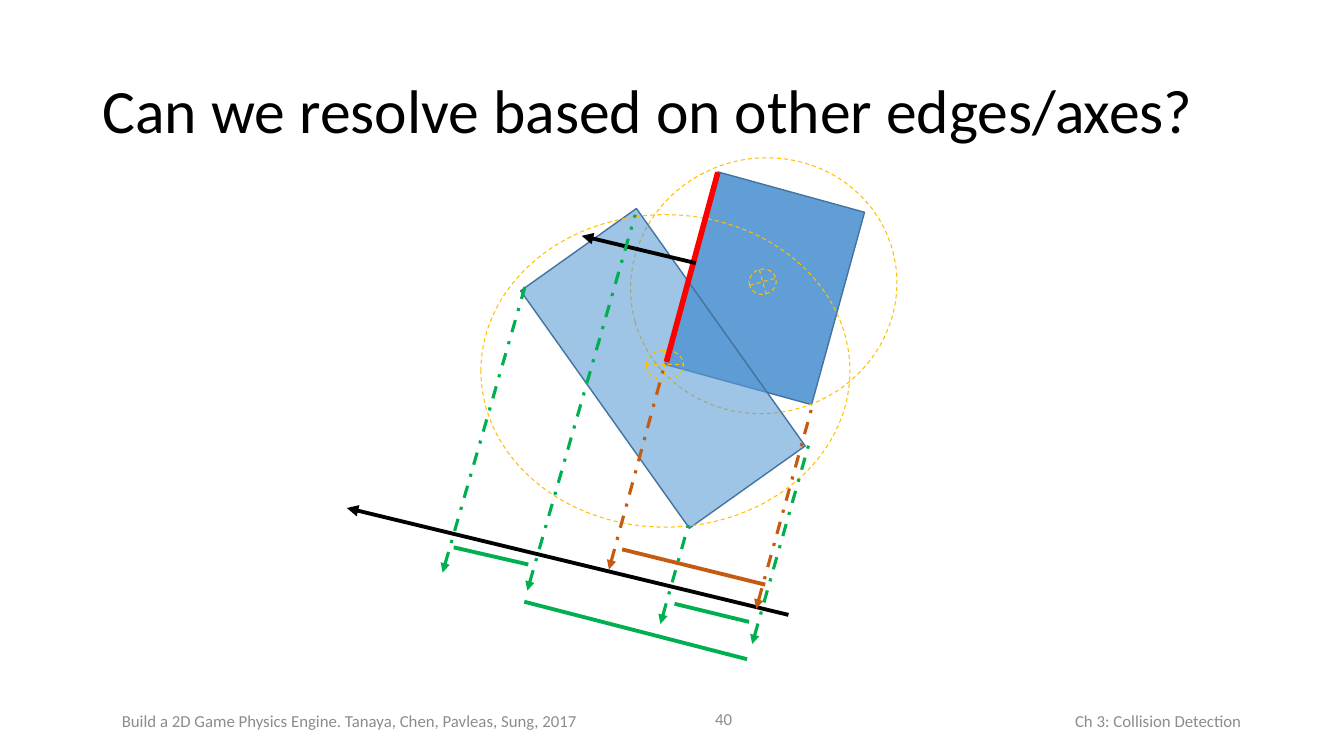
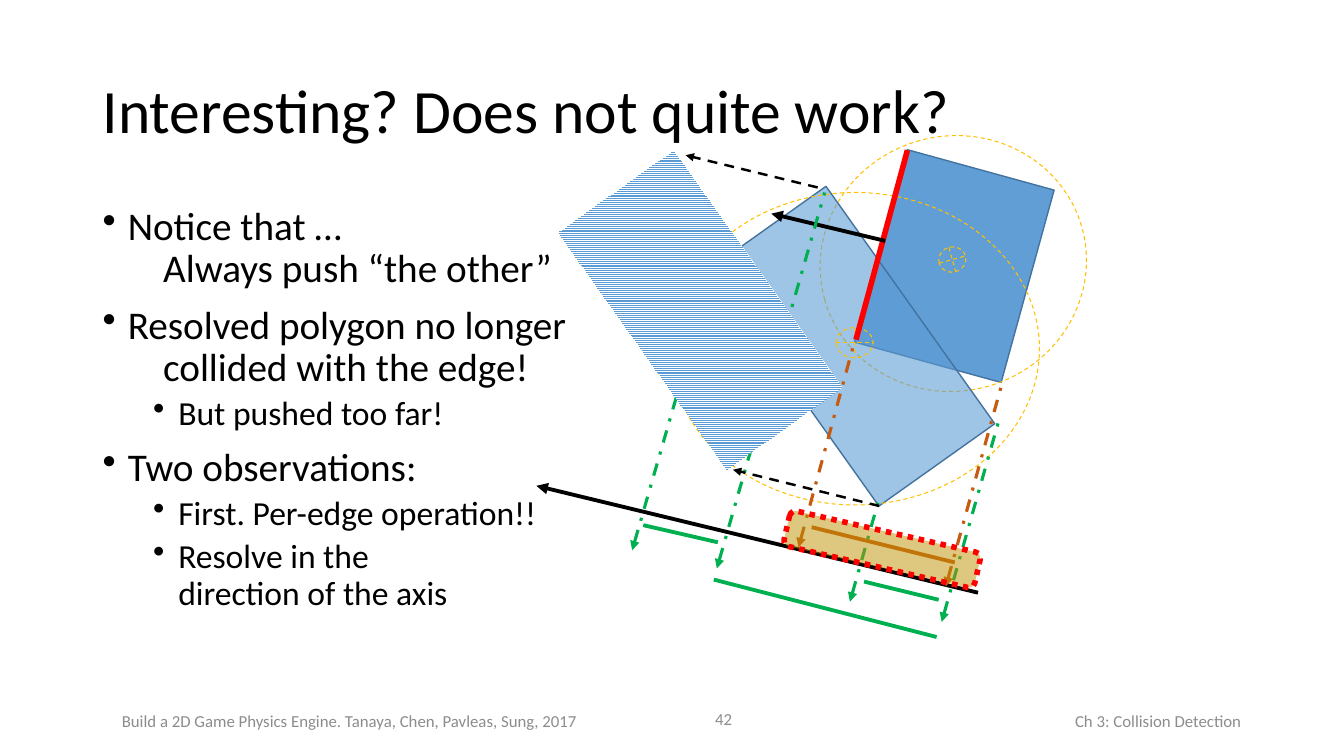
from dataclasses import dataclass

from lxml import etree
from pptx import Presentation
from pptx.dml.color import RGBColor
from pptx.enum.dml import MSO_LINE, MSO_PATTERN
from pptx.enum.shapes import MSO_CONNECTOR, MSO_SHAPE
from pptx.enum.text import MSO_ANCHOR, PP_ALIGN
from pptx.oxml.ns import qn
from pptx.util import Inches, Pt

BLACK = RGBColor(0x00, 0x00, 0x00)
WHITE = RGBColor(0xFF, 0xFF, 0xFF)
GREY = RGBColor(0x8C, 0x8C, 0x8C)
BLUE = RGBColor(0x5B, 0x9B, 0xD5)
NAVY = RGBColor(0x43, 0x73, 0x9E)
GOLD = RGBColor(0xFF, 0xC0, 0x00)
OCHRE = RGBColor(0xBF, 0x90, 0x00)
RED = RGBColor(0xFF, 0x00, 0x00)
RUST = RGBColor(0xC5, 0x5A, 0x11)
GREEN = RGBColor(0x00, 0xB0, 0x50)

RECT, ROUND = MSO_SHAPE.RECTANGLE, MSO_SHAPE.ROUNDED_RECTANGLE
OVAL, CROSS = MSO_SHAPE.OVAL, MSO_SHAPE.FLOWCHART_OR
STRAIGHT = MSO_CONNECTOR.STRAIGHT
DASH, DASH_DOT, DOT = MSO_LINE.DASH, MSO_LINE.DASH_DOT, MSO_LINE.ROUND_DOT
STRIPES = MSO_PATTERN.LIGHT_HORIZONTAL
TOP, MIDDLE = MSO_ANCHOR.TOP, MSO_ANCHOR.MIDDLE
LEFT, RIGHT = PP_ALIGN.LEFT, PP_ALIGN.RIGHT

FONT = "Calibri"
SHIFT = (1.88, -0.22)  # move of the diagram beside the bullets


@dataclass(frozen=True)
class Pen:
    color: RGBColor
    width: float
    dash: MSO_LINE | None = None
    arrow: str | None = None


@dataclass(frozen=True)
class Form:
    kind: MSO_SHAPE
    box: tuple
    pen: Pen | None
    turn: float = 0
    fill: RGBColor | None = None
    alpha: int = 100
    striped: bool = False


@dataclass(frozen=True)
class Link:
    start: tuple
    end: tuple
    pen: Pen


@dataclass(frozen=True)
class Para:
    text: str
    size: float
    margin: float = 0
    hang: float = 0
    before: float = 0
    align: PP_ALIGN = LEFT
    spacing: float = 1.0


EDGE = Pen(NAVY, 1)
RING = Pen(GOLD, 0.75, DASH)
FACE = Pen(RED, 4)
AXIS = Pen(BLACK, 2.75, arrow="tailEnd")
MOVE = Pen(BLACK, 1.75, DASH, "tailEnd")
RUST_DROP = Pen(RUST, 2.25, DASH_DOT, "headEnd")
GREEN_DROP = Pen(GREEN, 2.25, DASH_DOT, "headEnd")
RUST_SPAN = Pen(RUST, 2.75)
GREEN_SPAN = Pen(GREEN, 2.75)

CLASH = [
    Form(RECT, (6.83, 1.87, 1.51, 1.98), EDGE, 15.4, BLUE, 96),
    Form(OVAL, (6.25, 1.57, 2.65, 2.53), RING, 344.4),
    Form(CROSS, (7.43, 2.67, 0.27, 0.25), RING, 344.4),
    Form(RECT, (5.87, 2.21, 1.41, 2.89), EDGE, 324.6, BLUE, 59),
    Form(OVAL, (4.77, 2.13, 3.66, 3.1), RING),
    Form(CROSS, (6.41, 3.47, 0.37, 0.3), RING),
    Link((6.61, 3.59), (7.12, 1.71), FACE),
    Link((6.9, 2.61), (5.77, 2.34), AXIS),
    Link((6.04, 5.65), (6.6, 3.59), RUST_DROP),
    Link((7.59, 5.8), (6.17, 5.45), RUST_SPAN),
    Link((7.46, 6.39), (8.03, 4.38), GREEN_DROP),
    Link((5.24, 5.6), (4.5, 5.43), GREEN_SPAN),
    Link((7.82, 6.1), (3.44, 5.04), AXIS),
    Link((7.5, 6.04), (8.07, 3.98), RUST_DROP),
    Link((6.55, 6.19), (6.83, 5.2), GREEN_DROP),
    Link((5.23, 5.86), (6.3, 2.13), GREEN_DROP),
    Link((4.39, 5.68), (5.22, 2.8), GREEN_DROP),
    Link((7.43, 6.17), (6.69, 5.99), GREEN_SPAN),
    Link((7.41, 6.54), (5.2, 5.97), GREEN_SPAN),
]

PUSH = [
    Form(ROUND, (7.78, 5.27, 1.94, 0.36), Pen(RED, 4, DOT), 12.9, OCHRE, 50),
    Form(RECT, (6.24, 1.63, 1.41, 2.89), None, 324.6, BLUE, striped=True),
    Link((8.11, 1.86), (6.8, 1.54), MOVE),
    Link((8.72, 5.02), (7.27, 4.66), MOVE),
]


def point(text: str) -> Para:
    return Para(text, 28, 0.25, -0.25, 10, spacing=0.9)


def follow(text: str) -> Para:
    """Second line of a point, set in without a bullet."""
    return Para(text, 28, 0.6, spacing=0.9)


def detail(text: str) -> Para:
    return Para(text, 24, 0.75, -0.25, 5, spacing=0.9)


NOTES = [
    point("Notice that …"),
    follow("Always push “the other”"),
    point("Resolved polygon no longer"),
    follow("collided with the edge!"),
    detail("But pushed too far!"),
    point("Two observations:"),
    detail("First. Per-edge operation!!"),
    detail("Resolve in the\vdirection of the axis"),
]


def put(target, values: dict) -> None:
    for name, value in values.items():
        setattr(target, name, value)


def stroke(shape, pen: Pen) -> None:
    line = shape.line
    line.color.rgb = pen.color
    put(line, {"width": Pt(pen.width), "dash_style": pen.dash})
    if pen.arrow:
        ln = shape.element.spPr.find(qn("a:ln"))
        etree.SubElement(ln, qn(f"a:{pen.arrow}"), type="triangle")


def draw_form(slide, form: Form, shift: tuple) -> None:
    left, top, width, height = form.box
    box = (left + shift[0], top + shift[1], width, height)
    shape = slide.shapes.add_shape(form.kind, *map(Inches, box))
    shape.rotation = form.turn
    shape.shadow.inherit = False
    if form.striped:
        shape.fill.patterned()
        shape.fill.pattern = STRIPES
        shape.fill.fore_color.rgb = form.fill
        shape.fill.back_color.rgb = WHITE
    elif form.fill is not None:
        shape.fill.solid()
        shape.fill.fore_color.rgb = form.fill
        color = shape.element.spPr.find(qn("a:solidFill"))[0]
        etree.SubElement(color, qn("a:alpha"), val=str(form.alpha * 1000))
    else:
        shape.fill.background()
    if form.pen:
        stroke(shape, form.pen)
    else:
        shape.line.fill.background()


def draw_link(slide, link: Link, shift: tuple) -> None:
    ends = [Inches(place + move)
            for end in (link.start, link.end)
            for place, move in zip(end, shift)]
    shape = slide.shapes.add_connector(STRAIGHT, *ends)
    stroke(shape, link.pen)
    etree.SubElement(shape.element.spPr, qn("a:effectLst"))


def draw(slide, parts: list, shift: tuple = (0, 0)) -> None:
    for part in parts:
        paint = draw_form if isinstance(part, Form) else draw_link
        paint(slide, part, shift)


def write(slide, box: tuple, paras: list[Para], color: RGBColor = BLACK,
          anchor: MSO_ANCHOR = MIDDLE) -> None:
    frame = slide.shapes.add_textbox(*map(Inches, box)).text_frame
    put(frame, {"word_wrap": True, "vertical_anchor": anchor})
    for index, para in enumerate(paras):
        block = frame.add_paragraph() if index else frame.paragraphs[0]
        put(block, {"text": para.text, "alignment": para.align,
                    "line_spacing": para.spacing,
                    "space_before": Pt(para.before)})
        props = block._p.get_or_add_pPr()
        props.set("marL", str(Inches(para.margin)))
        props.set("indent", str(Inches(para.hang)))
        if para.hang:
            etree.SubElement(props, qn("a:buChar"), char="•")
        for run in block.runs:
            put(run.font, {"name": FONT, "size": Pt(para.size)})
            run.font.color.rgb = color


def add_page(deck, title: str, number: int):
    """Add a slide with its footers and title."""
    slide = deck.slides.add_slide(deck.slide_layouts[6])
    feet = [
        ((7.6, 6.95, 4.81, 0.4), "Ch 3: Collision Detection", RIGHT),
        ((1.11, 6.95, 5.05, 0.4),
         "Build a 2D Game Physics Engine. Tanaya, Chen, Pavleas, Sung, 2017",
         LEFT),
        ((6.17, 6.93, 1.19, 0.4), str(number), RIGHT),
    ]
    for box, text, align in feet:
        write(slide, box, [Para(text, 12, align=align)], GREY)
    write(slide, (0.92, 0.4, 11.5, 1.45), [Para(title, 44, spacing=0.9)])
    return slide


def main() -> None:
    deck = Presentation()
    put(deck, {"slide_width": Inches(13.33), "slide_height": Inches(7.5)})

    slide = add_page(deck, "Can we resolve based on other edges/axes?", 40)
    draw(slide, CLASH)

    slide = add_page(deck, "Interesting? Does not quite work?", 42)
    draw(slide, CLASH, SHIFT)
    draw(slide, PUSH)
    write(slide, (0.92, 2, 11.5, 4.76), NOTES, anchor=TOP)

    deck.save("out.pptx")


if __name__ == "__main__":
    main()
